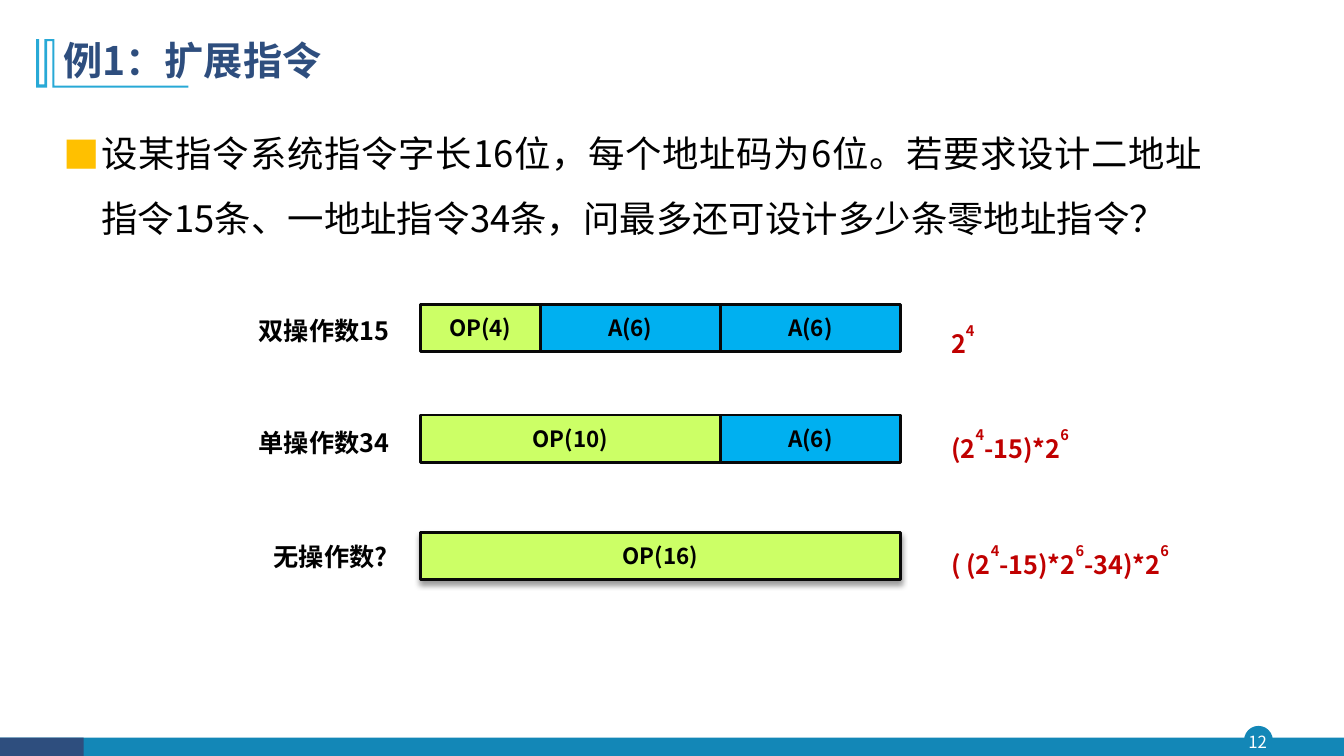
"""Build the slide about extending instruction opcodes."""
from dataclasses import dataclass

from lxml.etree import SubElement
from pptx import Presentation
from pptx.dml.color import RGBColor
from pptx.enum.shapes import MSO_SHAPE as Preset
from pptx.enum.text import MSO_ANCHOR as Anchor, PP_ALIGN as Align
from pptx.oxml.ns import qn
from pptx.util import Cm, Pt


@dataclass(frozen=True)
class Theme:
    font: str = "Noto Sans CJK SC"
    navy: str = "2E4E7E"
    teal: str = "1387B7"
    sky: str = "28A9D6"
    gold: str = "FFC000"
    red: str = "C00000"
    lime: str = "CCFF66"
    blue: str = "00B0F0"
    outline: str = "080808"
    black: str = "000000"
    white: str = "FFFFFF"
    title_size: int = 28
    body_size: int = 26
    label_size: int = 18
    field_size: int = 16
    number_size: int = 12


theme = Theme()
presentation = Presentation()
presentation.slide_width, presentation.slide_height = Cm(33.87), Cm(19.05)
slide = presentation.slides.add_slide(presentation.slide_layouts[6])
shapes = slide.shapes


def paint(shape, fill, line=None, width=1):
    shape.shadow.inherit = False
    shape.fill.solid()
    shape.fill.fore_color.rgb = RGBColor.from_string(fill)
    if line:
        shape.line.color.rgb = RGBColor.from_string(line)
        shape.line.width = Pt(width)
    else:
        shape.line.fill.background()


def write(shape, runs, size, color, bold=True, frame_format=None, paragraph_format=None):
    frame = shape.text_frame
    paragraph = frame.paragraphs[0]
    for target, values in ((frame, {"word_wrap": True, **(frame_format or {})}),
                           (paragraph, paragraph_format or {})):
        for name, value in values.items():
            setattr(target, name, value)
    for index, text in enumerate(runs):
        run = paragraph.add_run()
        run.text = text
        for name, value in {"name": theme.font, "size": Pt(size), "bold": bold}.items():
            setattr(run.font, name, value)
        run.font.color.rgb = RGBColor.from_string(color)
        properties = run._r.get_or_add_rPr()
        SubElement(properties, qn("a:ea"), typeface=theme.font)
        if index % 2:
            properties.set("baseline", "70000")


footer_parts = [
    (Preset.OVAL, (31.37, 18.31, 0.69, 0.69), theme.teal, theme.teal),
    (Preset.RECTANGLE, (0, 18.59, 33.87, 0.46), theme.teal, None),
    (Preset.RECTANGLE, (0, 18.59, 2.11, 0.46), theme.navy, None),
]
for preset, place, fill, line in footer_parts:
    paint(shapes.add_shape(preset, *map(Cm, place)), fill, line)

number = shapes.add_textbox(Cm(31.29), Cm(18.31), Cm(0.81), Cm(0.79))
no_margins = {f"margin_{side}": 0 for side in ("left", "top", "right", "bottom")}
write(number, ["12"], theme.number_size, theme.white, False,
      {"vertical_anchor": Anchor.MIDDLE, **no_margins}, {"alignment": Align.CENTER})

ornament_points = [
    (137, 216), (475, 216), (475, 221), (132, 221), (132, 104), (119, 104), (119, 221),
    (91, 221), (91, 99), (99, 99), (99, 213), (112, 213), (112, 99),
]
builder = shapes.build_freeform(137, 99, scale=Cm(0.01))
builder.add_line_segments(ornament_points, close=True)
paint(builder.convert_to_shape(), theme.sky)

title = shapes.add_textbox(Cm(1.35), Cm(0.71), Cm(29.21), Cm(1.73))
write(title, ["例1：扩展指令"], theme.title_size, theme.navy,
      frame_format={"vertical_anchor": Anchor.MIDDLE}, paragraph_format={"line_spacing": 0.9})

question = shapes.add_textbox(Cm(1.35), Cm(2.62), Cm(29.21), Cm(4.09))
bullet_properties = question.text_frame.paragraphs[0]._p.get_or_add_pPr()
bullet_properties.set("marL", str(Cm(0.96)))
bullet_properties.set("indent", str(Cm(-0.96)))
bullet_color = SubElement(bullet_properties, qn("a:buClr"))
SubElement(bullet_color, qn("a:srgbClr"), val=theme.gold)
SubElement(bullet_properties, qn("a:buFont"), typeface=theme.font)
SubElement(bullet_properties, qn("a:buChar"), char="■")
question_text = ("设某指令系统指令字长16位，每个地址码为6位。若要求设计二地址指令15条、"
                 "一地址指令34条，问最多还可设计多少条零地址指令？")
write(question, [question_text], theme.body_size, theme.black, False,
      paragraph_format={"alignment": Align.JUSTIFY, "line_spacing": 1.5})

word_left, word_width, word_bits, word_height = 10.59, 12.1, 16, 1.19
formats = [
    (7.67, "双操作数15", 6.27, 7.82, [("OP", 4), ("A", 6), ("A", 6)], ["2", "4"], 7.98),
    (10.46, "单操作数34", 6.27, 10.64, [("OP", 10), ("A", 6)],
     ["(2", "4", "-15)*2", "6"], 10.62),
    (13.41, "无操作数?", 6.65, 13.51, [("OP", 16)],
     ["( (2", "4", "-15)*2", "6", "-34)*2", "6"], 13.54),
]
for top, label_text, label_left, label_top, fields, formula_runs, formula_top in formats:
    left = word_left
    for name, bits in fields:
        width = word_width * bits / word_bits
        field = shapes.add_shape(Preset.RECTANGLE, Cm(left), Cm(top), Cm(width), Cm(word_height))
        paint(field, theme.lime if name == "OP" else theme.blue, theme.outline, 2)
        write(field, [f"{name}({bits})"], theme.field_size, theme.black,
              frame_format={"vertical_anchor": Anchor.MIDDLE},
              paragraph_format={"alignment": Align.CENTER})
        if bits == word_bits:
            effects = field._element.spPr.find(qn("a:effectLst"))
            shadow = SubElement(effects, qn("a:outerShdw"), blurRad=str(Pt(4)),
                                dist=str(Pt(3)), dir="5400000", rotWithShape="0")
            shadow_color = SubElement(shadow, qn("a:srgbClr"), val=theme.black)
            SubElement(shadow_color, qn("a:alpha"), val="40000")
        left += width
    label = shapes.add_textbox(Cm(label_left), Cm(label_top), Cm(4.2), Cm(1.02))
    write(label, [label_text], theme.label_size, theme.black)
    formula = shapes.add_textbox(Cm(23.72), Cm(formula_top), Cm(7.11), Cm(1.02))
    write(formula, formula_runs, theme.label_size, theme.red)

presentation.save("out.pptx")
